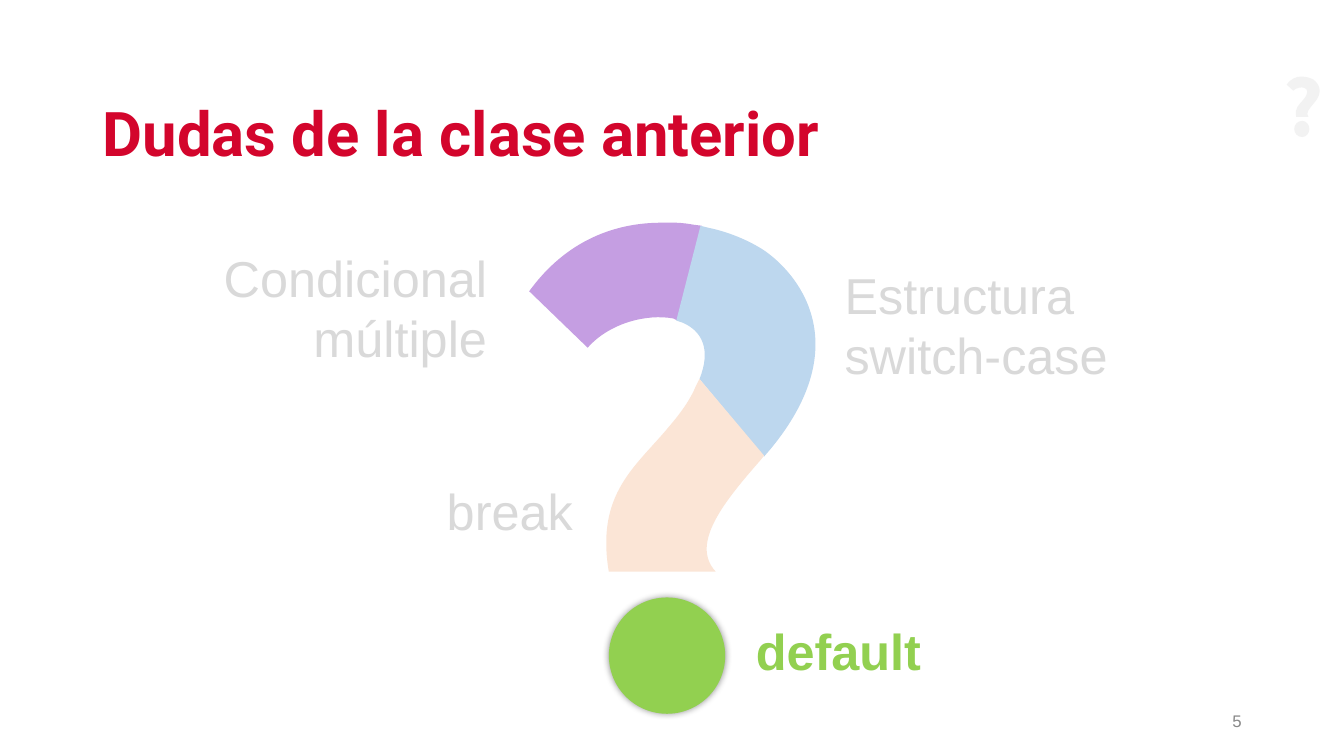
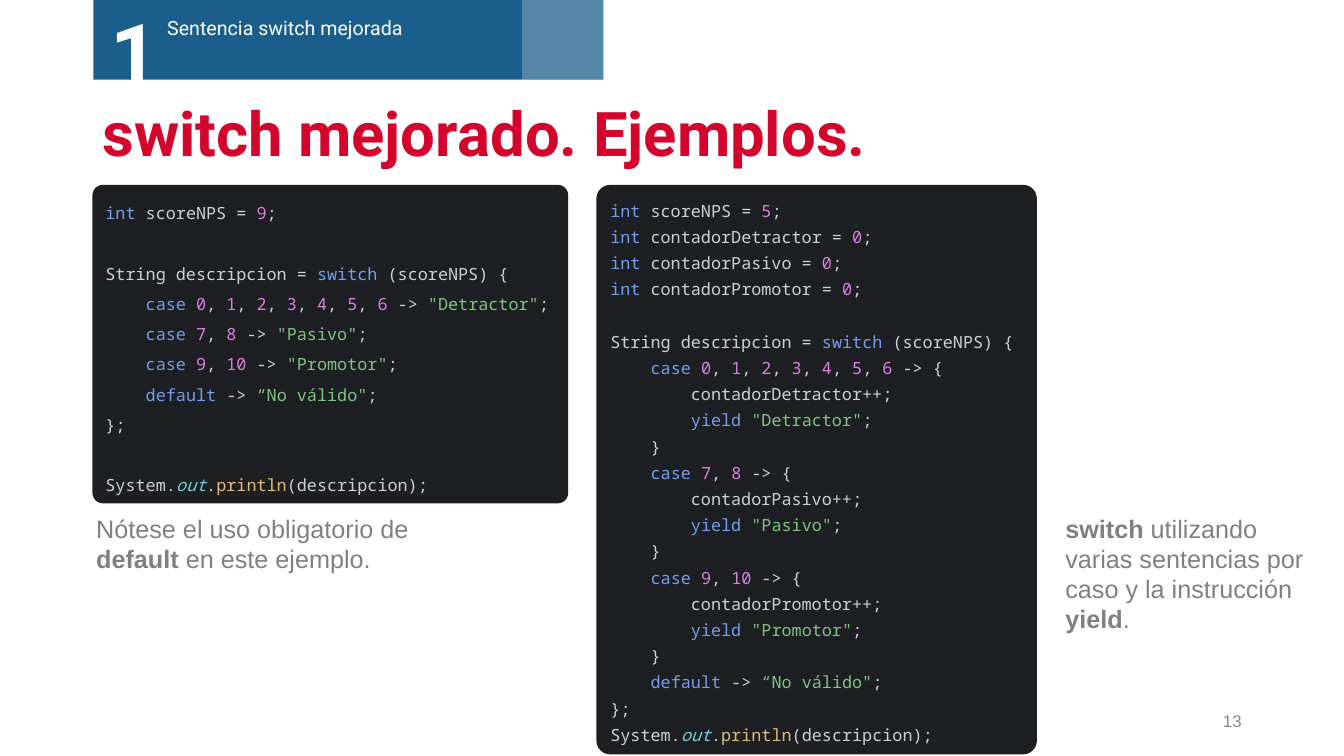
"""Build two class slides: pending doubts and improved switch examples."""
from dataclasses import dataclass
from itertools import groupby
from typing import Iterator, NamedTuple, Optional

from lxml.etree import SubElement
from pptx import Presentation
from pptx.dml.color import RGBColor
from pptx.enum.shapes import MSO_SHAPE
from pptx.enum.text import MSO_ANCHOR, MSO_AUTO_SIZE, PP_ALIGN
from pptx.oxml.ns import qn
from pptx.shapes.autoshape import Shape
from pptx.slide import Slide
from pptx.text.text import TextFrame, _Paragraph
from pptx.util import Inches, Pt

CELL = Inches(0.1)
COLUMNS, ROWS = 133.33, 75

COLORS = {
    "title": "D3052C", "number": "888888", "note": "808080", "white": "FFFFFF",
    "muted": "D9D9D9", "icon": "F2F2F2", "band": "1B5E8B", "shadow": "000000",
    "purple": "C59EE2", "blue": "BDD7EE", "peach": "FBE5D6", "green": "92D050",
    "panel": "1E1F22", "plain": "CED0D6", "keyword": "749DED", "digit": "D981DE",
    "string": "7EC482", "field": "72CFD6", "method": "DEBC7E",
}
WORD_ROLES = dict.fromkeys(("int", "switch", "case", "default", "yield"), "keyword")
WORD_ROLES.update(out="field", println="method")


class Box(NamedTuple):
    column: float
    row: float
    width: float
    height: float

    def lengths(self) -> list[int]:
        return [cells(value) for value in self]


@dataclass(frozen=True)
class Style:
    font: str
    size: int
    color: str
    bold: bool = False


@dataclass(frozen=True)
class Label:
    text: str
    box: Box
    style: Style
    align: PP_ALIGN = PP_ALIGN.LEFT
    anchor: MSO_ANCHOR = MSO_ANCHOR.TOP
    grow: bool = True


@dataclass(frozen=True)
class Outline:
    """Contours of a start point, then lines (2 values) and curves (6 values)."""
    color: str
    box: Box
    contours: tuple[tuple[tuple[float, ...], ...], ...]


@dataclass(frozen=True)
class CodePanel:
    box: Box
    corner: float
    spacing: float
    wrap: bool
    code: str


TITLE_BOX = Box(9.17, 9.22, 115, 8.6)
NUMBER_BOX = Box(94.17, 69.5, 30, 4)
TITLE = Style("Roboto", 44, "title", True)
NUMBER = Style("Arial", 12, "number")
MUTED = Style("Arial", 36, "muted")
ACTIVE = Style("Arial", 36, "green", True)
NOTE = Style("Arial", 18, "note")
SECTION = Style("Roboto", 14, "white")
SECTION_NUMBER = Style("Roboto", 60, "white", True)
CODE_FONT, CODE_SIZE = "Noto Sans Mono", 12

DOUBTS = (
    Label("Condicional múltiple", Box(17.4, 24, 31.9, 13.1), MUTED, PP_ALIGN.RIGHT),
    Label("Estructura switch-case", Box(82.8, 25.7, 35.4, 13.1), MUTED),
    Label("break", Box(43.34, 47.1, 33.6, 7.1), MUTED),
    Label("default", Box(74, 61, 33.6, 7.1), ACTIVE),
)
NOTES = (
    Label("*switch* utilizando varias sentencias por caso y la instrucción *yield*.",
          Box(104.7, 50.4, 26.9, 13.1), NOTE),
    Label("Nótese el uso obligatorio de *default* en este ejemplo.",
          Box(8.56, 50.4, 36.1, 7.1), NOTE),
)
SECTION_LABELS = (
    Label("Sentencia switch mejorada", Box(15.6, 1.1, 33.5, 3.4), SECTION),
    Label("1", Box(10, -0.4, 11.2, 11.1), SECTION_NUMBER),
)

MARK_OUTLINES = (
    Outline("icon", Box(127.65, 7.6, 3.25, 6), (
        ((129.2, 12), (129.6, 12, 129.9, 12.4, 129.9, 12.8),
         (129.9, 13.2, 129.6, 13.6, 129.2, 13.6), (128.7, 13.6, 128.4, 13.2, 128.4, 12.8),
         (128.4, 12.4, 128.7, 12, 129.2, 12)),
        ((129.1, 7.6), (129.7, 7.6, 130.1, 7.8, 130.3, 7.9),
         (130.8, 8.3, 131.4, 9.1, 130.3, 10.3), (129.9, 10.8, 129.5, 11.2, 129.8, 11.6),
         (128.6, 11.6), (128.4, 10.7, 128.9, 10.4, 129.3, 9.9),
         (130.4, 8.6, 128.9, 8.4, 128.3, 9), (127.65, 8.4),
         (128.1, 7.8, 128.6, 7.6, 129.1, 7.6)))),
    Outline("purple", Box(52.5, 22.1, 17.1, 12.4), ((
        (65.6, 22.1), (66.7, 22.05, 67.8, 22.1, 68.8, 22.3), (69.6, 22.4), (67.2, 31.8),
        (66.8, 31.6), (64.1, 31.1, 60.4, 32.1, 58.3, 34.5), (52.5, 28.9),
        (56.2, 23.8, 61.1, 22.1, 65.6, 22.1)),)),
    Outline("blue", Box(67.1, 22.4, 13.7, 22.9), ((
        (69.5, 22.4), (70.3, 22.6), (72.7, 23.1, 74.7, 24.1, 75.9, 24.9),
        (79.7, 27.6, 84.7, 34.6, 76.4, 44.6), (75.8, 45.3), (69.4, 37.6), (69.4, 37.6),
        (70.6, 34.6, 69.6, 32.8, 67.7, 32), (67.1, 31.8)),)),
    Outline("peach", Box(60.1, 37.6, 15.7, 19.1), ((
        (69.4, 37.6), (75.8, 45.2), (75.5, 45.6), (72, 49.6, 68.4, 53.9, 71, 56.7),
        (60.4, 56.7), (59.1, 48.9, 63.1, 46.3, 66.4, 42.3),
        (67.6, 40.9, 68.5, 39.6, 69, 38.4)),)),
)

CODE_PANELS = (
    CodePanel(Box(9.17, 18.34, 47.2, 31.6), 0.033, 1.5, False, """\
int scoreNPS = 9;

String descripcion = switch (scoreNPS) {
    case 0, 1, 2, 3, 4, 5, 6 -> "Detractor";
    case 7, 8 -> "Pasivo";
    case 9, 10 -> "Promotor";
    default -> “No válido";
};

System.out.println(descripcion);"""),
    CodePanel(Box(59.17, 18.34, 43.7, 56.5), 0.031, 1.3, True, """\
int scoreNPS = 5;
int contadorDetractor = 0;
int contadorPasivo = 0;
int contadorPromotor = 0;

String descripcion = switch (scoreNPS) {
    case 0, 1, 2, 3, 4, 5, 6 -> {
        contadorDetractor++;
        yield "Detractor";
    }
    case 7, 8 -> {
        contadorPasivo++;
        yield "Pasivo";
    }
    case 9, 10 -> {
        contadorPromotor++;
        yield "Promotor";
    }
    default -> “No válido";
};
System.out.println(descripcion);"""),
)


def cells(value: float) -> int:
    return round(value * CELL)


def rgb(color: str) -> RGBColor:
    return RGBColor.from_string(COLORS[color])


def set_attributes(target: object, values: dict) -> None:
    for name, value in values.items():
        setattr(target, name, value)


def place(shape: Shape, box: Box) -> None:
    set_attributes(shape, dict(zip(("left", "top", "width", "height"), box.lengths())))


def add_run(paragraph: _Paragraph, text: str, style: Style, italic: Optional[bool] = None) -> None:
    run = paragraph.add_run()
    run.text = text
    set_attributes(run.font, {"name": style.font, "size": Pt(style.size),
                              "bold": style.bold, "italic": italic})
    run.font.color.rgb = rgb(style.color)


def write_label(frame: TextFrame, label: Label) -> None:
    grow = MSO_AUTO_SIZE.SHAPE_TO_FIT_TEXT if label.grow else MSO_AUTO_SIZE.NONE
    set_attributes(frame, {"word_wrap": True, "auto_size": grow,
                           "vertical_anchor": label.anchor})
    paragraph = frame.paragraphs[0]
    paragraph.alignment = label.align
    style = label.style
    for position, text in enumerate(label.text.split("*")):
        if text:
            bold = style.bold or position % 2 == 1
            add_run(paragraph, text, Style(style.font, style.size, style.color, bold))


def add_label(slide: Slide, label: Label) -> None:
    write_label(slide.shapes.add_textbox(*label.box.lengths()).text_frame, label)


def paint(shape: Shape, color: str, opacity: int = 100) -> Shape:
    shape.shadow.inherit = False
    shape.fill.solid()
    shape.fill.fore_color.rgb = rgb(color)
    shape.line.fill.background()
    if opacity < 100:
        tint = shape.fill._xPr.find(qn("a:solidFill"))[0]
        SubElement(tint, qn("a:alpha"), val=str(opacity * 1000))
    return shape


def add_block(slide: Slide, kind: MSO_SHAPE, box: Box, color: str, opacity: int = 100) -> Shape:
    return paint(slide.shapes.add_shape(kind, *box.lengths()), color, opacity)


def add_glow(shape: Shape, blur: int, opacity: int) -> None:
    effects = shape._element.spPr.find(qn("a:effectLst"))
    shadow = SubElement(effects, qn("a:outerShdw"), blurRad=str(Pt(blur)), dist="0",
                        dir="0", algn="ctr", rotWithShape="0")
    tint = SubElement(shadow, qn("a:srgbClr"), val=COLORS["shadow"])
    SubElement(tint, qn("a:alpha"), val=str(opacity * 1000))


def add_outline(slide: Slide, outline: Outline) -> None:
    box = outline.box
    builder = slide.shapes.build_freeform(cells(box.column), cells(box.row))
    builder.add_line_segments([(cells(box.column + box.width), cells(box.row + box.height))])
    shape = paint(builder.convert_to_shape(), outline.color)
    place(shape, box)
    geometry = next(shape._element.iter(qn("a:path")))
    for command in list(geometry):
        geometry.remove(command)
    for contour in outline.contours:
        for index, step in enumerate(contour):
            tag = "a:moveTo" if index == 0 else "a:lnTo" if len(step) == 2 else "a:cubicBezTo"
            command = SubElement(geometry, qn(tag))
            for x, y in zip(step[::2], step[1::2]):
                SubElement(command, qn("a:pt"), x=str(cells(x - box.column)),
                           y=str(cells(y - box.row)))
        SubElement(geometry, qn("a:close"))


def code_tokens(line: str) -> Iterator[tuple[str, str]]:
    for position, fragment in enumerate(line.replace("“", '"“').split('"')):
        if position % 2:
            opening = "" if fragment.startswith("“") else '"'
            yield f'{opening}{fragment}"', "string"
            continue
        for _, group in groupby(fragment, key=str.isalnum):
            word = "".join(group)
            yield word, "digit" if word.isdigit() else WORD_ROLES.get(word, "plain")


def add_code_break(paragraph: _Paragraph) -> None:
    paragraph.add_line_break()
    properties = SubElement(paragraph._p[-1], qn("a:rPr"), sz=str(CODE_SIZE * 100))
    SubElement(properties, qn("a:latin"), typeface=CODE_FONT)


def add_code(slide: Slide, panel: CodePanel) -> None:
    shape = add_block(slide, MSO_SHAPE.ROUNDED_RECTANGLE, panel.box, "panel")
    shape.adjustments[0] = panel.corner
    set_attributes(shape.text_frame, {
        "word_wrap": panel.wrap, "auto_size": MSO_AUTO_SIZE.SHAPE_TO_FIT_TEXT,
        "vertical_anchor": MSO_ANCHOR.MIDDLE})
    paragraph = shape.text_frame.paragraphs[0]
    set_attributes(paragraph, {"alignment": PP_ALIGN.LEFT, "line_spacing": panel.spacing})
    for index, line in enumerate(panel.code.splitlines()):
        if index:
            add_code_break(paragraph)
        for text, role in code_tokens(line):
            add_run(paragraph, text, Style(CODE_FONT, CODE_SIZE, role), role == "field")


def add_titled_slide(presentation: Presentation, title: str, number: int) -> Slide:
    slide = presentation.slides.add_slide(presentation.slide_layouts[5])
    placeholder = slide.shapes.title
    place(placeholder, TITLE_BOX)
    write_label(placeholder.text_frame, Label(
        title, TITLE_BOX, TITLE, anchor=MSO_ANCHOR.MIDDLE, grow=False))
    placeholder.text_frame.paragraphs[0].line_spacing = 0.9
    add_label(slide, Label(str(number), NUMBER_BOX, NUMBER, PP_ALIGN.RIGHT,
                           MSO_ANCHOR.MIDDLE, False))
    return slide


def build_doubts(presentation: Presentation) -> None:
    slide = add_titled_slide(presentation, "Dudas de la clase anterior", 5)
    for outline in MARK_OUTLINES:
        add_outline(slide, outline)
    dot = add_block(slide, MSO_SHAPE.OVAL, Box(60.4, 59.27, 11.54, 11.54), "green")
    add_glow(dot, blur=5, opacity=40)
    for label in DOUBTS:
        add_label(slide, label)


def build_examples(presentation: Presentation) -> None:
    slide = add_titled_slide(presentation, "switch mejorado. Ejemplos.", 13)
    for panel in CODE_PANELS:
        add_code(slide, panel)
    add_block(slide, MSO_SHAPE.RECTANGLE, Box(9.27, -0.1, 50.6, 8), "band")
    for label in NOTES + SECTION_LABELS:
        add_label(slide, label)
    add_block(slide, MSO_SHAPE.RECTANGLE, Box(51.8, -0.1, 8.1, 8), "white", 25)


def main() -> None:
    presentation = Presentation()
    set_attributes(presentation, {"slide_width": cells(COLUMNS), "slide_height": cells(ROWS)})
    build_doubts(presentation)
    build_examples(presentation)
    presentation.save("out.pptx")


if __name__ == "__main__":
    main()
